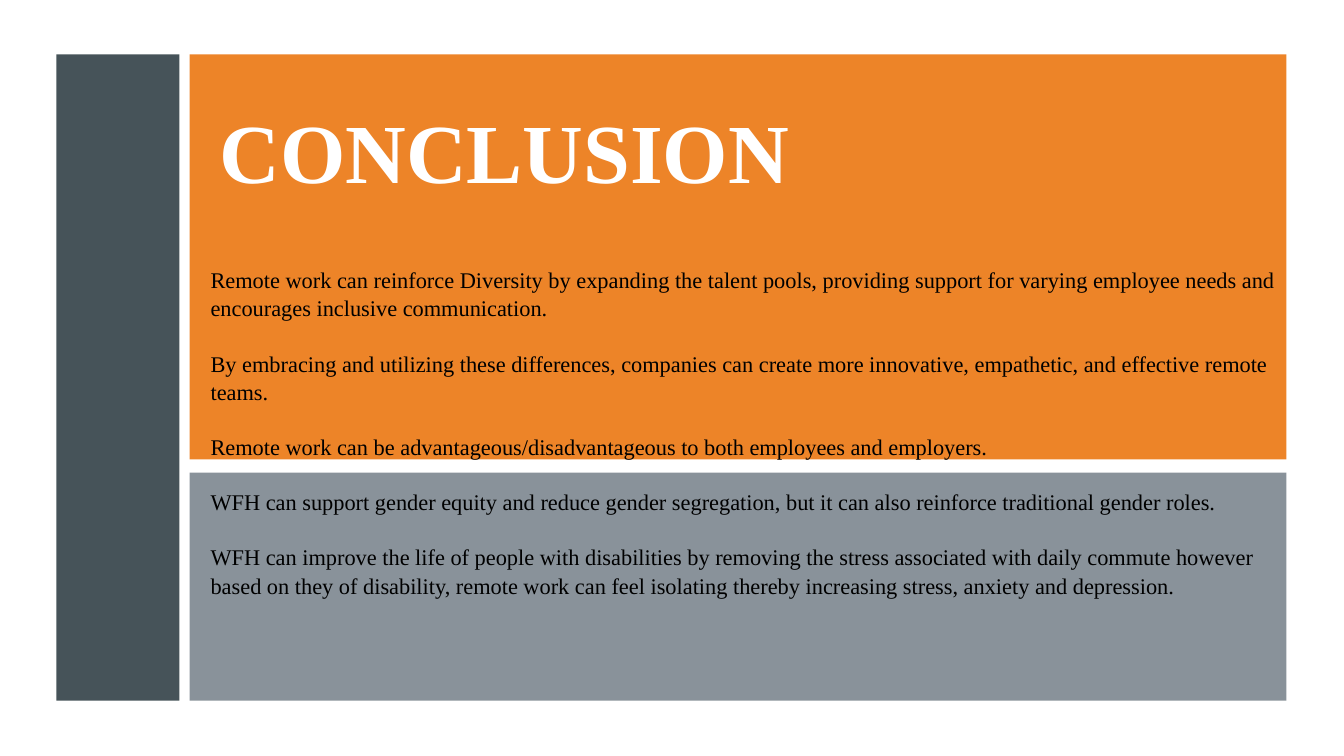
import pptx
import pptx.util
import pptx.dml.color
import pptx.enum.shapes
import pptx.enum.text
import pptx.oxml.ns
import lxml.etree

Inches = pptx.util.Inches
Pt = pptx.util.Pt
RGB = pptx.dml.color.RGBColor
Anchor = pptx.enum.text.MSO_ANCHOR

WHITE = RGB(0xFF, 0xFF, 0xFF)
BLACK = RGB(0, 0, 0)
SLATE = RGB(0x46, 0x53, 0x59)
ORANGE = RGB(0xED, 0x84, 0x28)
GREY = RGB(0x6C, 0x77, 0x81)
FONT = "Times New Roman"
WIDE, HIGH = 13.33, 7.5

POINTS = [
    "Remote work can reinforce Diversity by expanding the talent pools, providing support for varying employee needs and encourages inclusive communication.",
    "By embracing and utilizing these differences, companies can create more innovative, empathetic, and effective remote teams.",
    "Remote work can be advantageous/disadvantageous to both employees and employers.",
    "WFH can support gender equity and reduce gender segregation, but it can also reinforce traditional gender roles.",
    "WFH can improve the life of people with disabilities by removing the stress associated with daily commute however based on they of disability, remote work can feel isolating thereby increasing stress, anxiety and depression.",
]


def panel(slide, box, color, alpha=None):
    shape = slide.shapes.add_shape(
        pptx.enum.shapes.MSO_SHAPE.RECTANGLE, *map(Inches, box))
    shape.shadow.inherit = False
    shape.fill.solid()
    shape.fill.fore_color.rgb = color
    shape.line.fill.background()
    if alpha:
        qn = pptx.oxml.ns.qn
        tint = shape.element.spPr.find(".//" + qn("a:srgbClr"))
        lxml.etree.SubElement(tint, qn("a:alpha"), val=str(alpha * 1000))


def write(slide, box, lines, size=16, color=BLACK, bold=False,
          anchor=Anchor.TOP, pitch=1.0, gap=0):
    frame = slide.shapes.add_textbox(*map(Inches, box)).text_frame
    frame.word_wrap = True
    frame.vertical_anchor = anchor
    for i, line in enumerate(lines):
        para = frame.paragraphs[0] if i == 0 else frame.add_paragraph()
        para.line_spacing = pitch
        if i:
            para.space_before = Pt(gap)
        run = para.add_run()
        run.text = line
        run.font.name = FONT
        run.font.size = Pt(size)
        run.font.bold = bold
        run.font.color.rgb = color


def frame(slide, box):
    left, top, width, height = box
    bar = 0.1 * width
    inset = bar + 0.1
    main = width - inset
    upper = 0.627 * height
    lower = upper + 0.13
    panel(slide, (left, top, bar, height), SLATE)
    panel(slide, (left + inset, top, main, upper), ORANGE)
    panel(slide, (left + inset, top + lower, main, height - lower), GREY, alpha=80)
    return left + inset, top, main, height


def copy(slide, box):
    left, top, width, height = box
    write(slide, (left + 0.2, top + 0.23, 0.76 * width, 1.44), ["CONCLUSION"],
          size=60, color=WHITE, bold=True, anchor=Anchor.MIDDLE)
    drop = 2.04
    write(slide, (left + 0.11, top + drop, width, height - drop), POINTS,
          pitch=1.05, gap=19.3)


def main():
    deck = pptx.Presentation()
    deck.slide_width, deck.slide_height = Inches(WIDE), Inches(HIGH)
    slide = deck.slides.add_slide(deck.slide_layouts[6])
    slide.background.fill.solid()
    slide.background.fill.fore_color.rgb = WHITE
    copy(slide, frame(slide, (0.56, 0.54, 12.2, 6.41)))
    deck.save("out.pptx")


if __name__ == "__main__":
    main()
